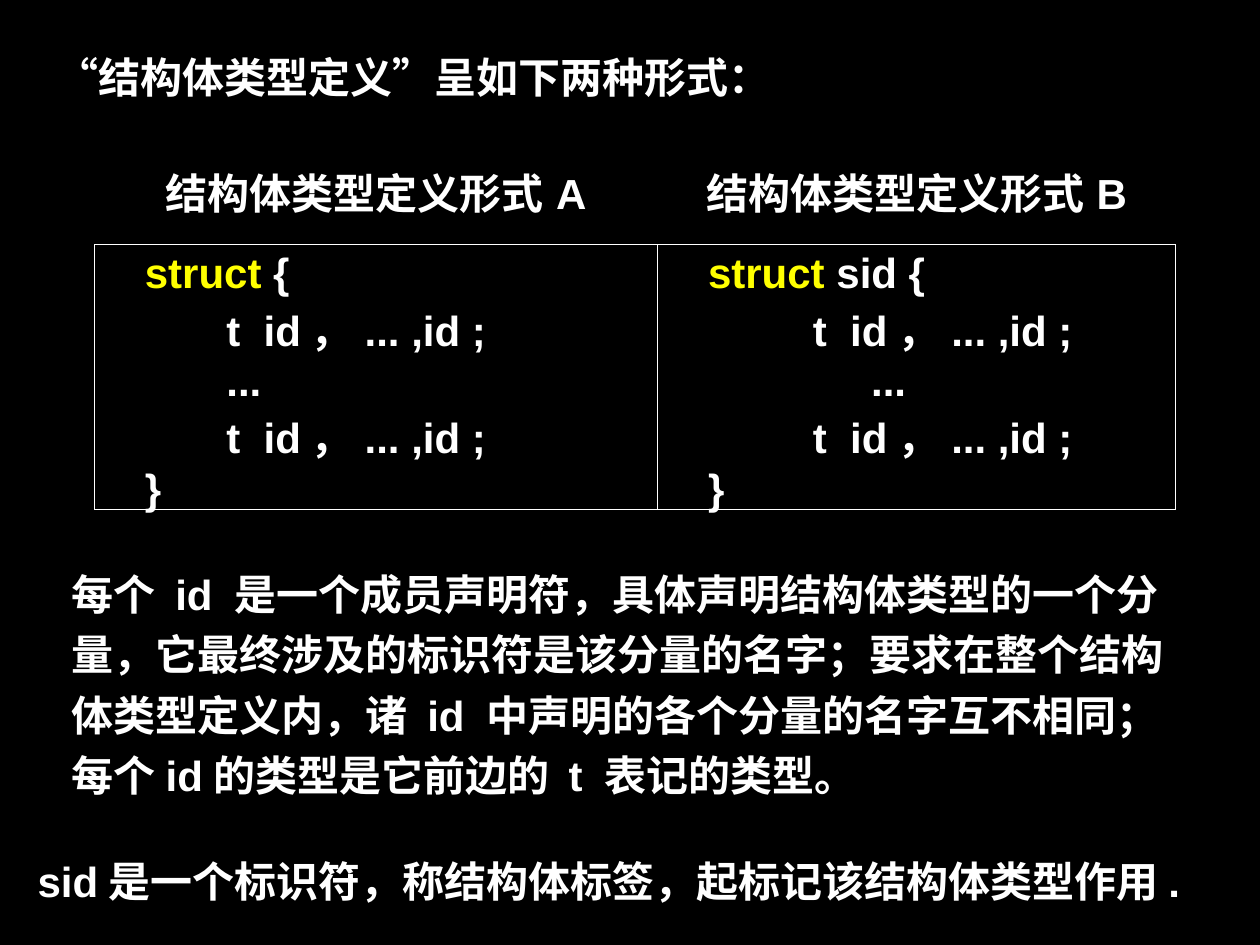
from lxml import etree
from pptx import Presentation
from pptx import util as u
from pptx.dml.color import RGBColor
from pptx.enum import shapes, text
from pptx.oxml.ns import qn

WIDTH, HEIGHT = 10, 7.5
WHITE, YELLOW, BLACK = "FFFFFF", "FFFF00", "000000"
LATIN, CJK, TITLE = "Arial", "Noto Sans CJK SC", "Karla"

# Content: each line is a list of (words, format) spans
title = [("“", {"name": CJK}), ("结构体类型定义", {"name": TITLE}),
         ("”", {"name": CJK}), ("呈如下两种形式：", {"name": TITLE})]
headings = ["结构体类型定义形式A", "结构体类型定义形式B"]
keyword = ("struct", {"color": YELLOW})
codes = [
    [[keyword, (" {", {})],
     [("       t  id，... ,id ;", {})],
     [("       ...", {})],
     [("       t  id，... ,id ;", {})],
     [("}", {})]],
    [[keyword, (" sid {", {})],
     [("         t  id，... ,id ;", {})],
     [("              ...", {})],
     [("         t  id，... ,id ;", {})],
     [("}", {})]],
]
notes = [
    ((0.27, 4.38, 9.29, 2.02),
     "每个 id 是一个成员声明符，具体声明结构体类型的一个分量，它最终涉及的标识符是该分量的名字；"
     "要求在整个结构体类型定义内，诸 id 中声明的各个分量的名字互不相同；"
     "每个id的类型是它前边的 t 表记的类型。"),
    ((0, 6.66, 9.57, 0.58), "sid是一个标识符，称结构体标签，起标记该结构体类型作用."),
]
title_place = (0.35, 0.36, 9.65, 0.5)
table_place = (0.75, 1.23, 8.58, 2.81)
columns, rows = (4.47, 4.11), (0.71, 2.1)


def color(value):
    return RGBColor.from_string(value)


def inches(place):
    return [u.Inches(length) for length in place]


def write(frame, lines, indent=(0, 0), **formats):
    """Fill a text frame; indent is (left margin, first line) in inches."""
    frame.word_wrap = True
    for number, line in enumerate(lines):
        para = frame.paragraphs[0] if number == 0 else frame.add_paragraph()
        props = para._p.get_or_add_pPr()
        for name, length in zip(("marL", "indent"), indent):
            props.set(name, str(u.Inches(length)))
        for name, value in {"alignment": text.PP_ALIGN.LEFT, **formats}.items():
            setattr(para, name, value)
        for words, style in line:
            span = para.add_run()
            span.text = words
            span.font.color.rgb = color(style.get("color", WHITE))
            for name, value in {"size": u.Pt(24), "bold": True,
                                "name": style.get("name", LATIN)}.items():
                setattr(span.font, name, value)
            east = etree.SubElement(span._r.get_or_add_rPr(), qn("a:ea"))
            east.set("typeface", CJK)


def border(cell, sides):
    """Draw thin white lines on the named sides and none on the others."""
    props = cell._tc.get_or_add_tcPr()
    for place, side in enumerate("LRTB"):
        line = etree.Element(qn(f"a:ln{side}"), w=str(u.Pt(0.45)))
        if side in sides:
            fill = etree.SubElement(line, qn("a:solidFill"))
            etree.SubElement(fill, qn("a:srgbClr"), val=WHITE)
        else:
            etree.SubElement(line, qn("a:noFill"))
        props.insert(place, line)


deck = Presentation()
deck.slide_width, deck.slide_height = inches((WIDTH, HEIGHT))
page = deck.slides.add_slide(deck.slide_layouts[6])
page.background.fill.solid()
page.background.fill.fore_color.rgb = color(BLACK)

# Title
box = page.shapes.add_textbox(*inches(title_place))
write(box.text_frame, [title])

# Table: headings above the two bordered forms
table = page.shapes.add_table(2, 2, *inches(table_place)).table
table.first_row = table.horz_banding = False
for column, width in zip(table.columns, columns):
    column.width = u.Inches(width)
for row, height in zip(table.rows, rows):
    row.height = u.Inches(height)
for index, (heading, code) in enumerate(zip(headings, codes)):
    top, body = table.cell(0, index), table.cell(1, index)
    for cell, sides in ((top, "B"), (body, "LRTB")):
        cell.fill.background()
        border(cell, sides)
    write(top.text_frame, [[(heading, {})]], (0.38, -0.38),
          alignment=text.PP_ALIGN.CENTER)
    write(body.text_frame, code, (0.38, -0.08))

# Notes below the table
for place, words in notes:
    box = page.shapes.add_shape(shapes.MSO_SHAPE.RECTANGLE, *inches(place))
    box.shadow.inherit = False
    box.fill.solid()
    box.fill.fore_color.rgb = color(BLACK)
    box.line.fill.background()
    box.text_frame.vertical_anchor = text.MSO_ANCHOR.TOP
    write(box.text_frame, [[(words, {})]], (0.2, 0), line_spacing=1.2)

deck.save("out.pptx")
